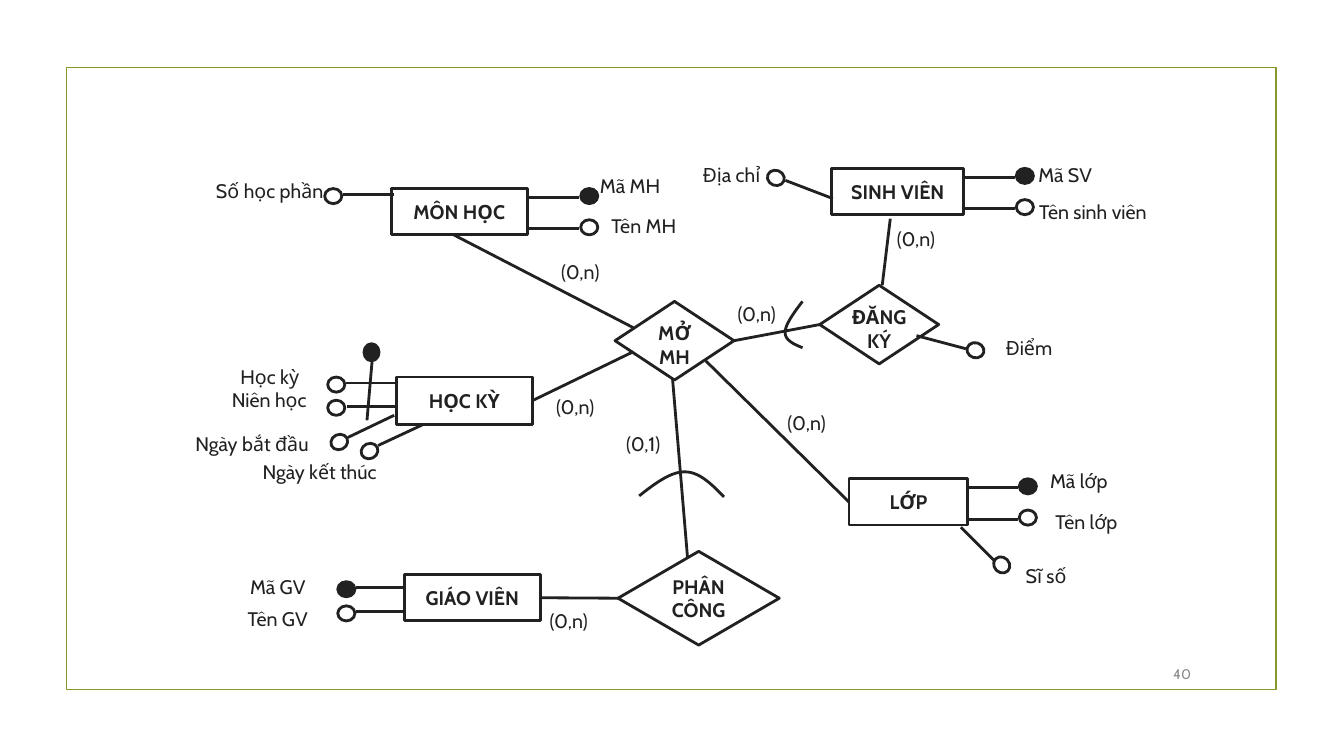
from pptx import Presentation
from pptx.dml.color import RGBColor
from pptx.enum.shapes import MSO_CONNECTOR, MSO_SHAPE
from pptx.enum.text import MSO_ANCHOR, PP_ALIGN
from pptx.oxml.ns import qn
from pptx.util import Inches, Pt

RECT, DIAMOND, OVAL = MSO_SHAPE.RECTANGLE, MSO_SHAPE.DIAMOND, MSO_SHAPE.OVAL
STRAIGHT = MSO_CONNECTOR.STRAIGHT
TOP, MIDDLE = MSO_ANCHOR.TOP, MSO_ANCHOR.MIDDLE
CENTER, RIGHT = PP_ALIGN.CENTER, PP_ALIGN.RIGHT
LEFT_SIDE, RIGHT_SIDE = 1, 3

INK, WHITE, GREEN, GREY = "212121", "FFFFFF", "83992A", "898989"
DOT_WIDTH, DOT_HEIGHT = 0.17, 0.15

# Name: left, top, width, height
ENTITIES = {
    "MÔN HỌC": (3.88, 1.87, 1.35, 0.46),
    "SINH VIÊN": (8.25, 1.67, 1.31, 0.46),
    "LỚP": (8.42, 4.75, 1.18, 0.46),
    "HỌC KỲ": (3.93, 3.74, 1.35, 0.47),
    "GIÁO VIÊN": (4.01, 5.7, 1.35, 0.46),
}

# Name: left, top, width, height, text anchor
RELATIONS = {
    "MỞ MH": (6.1, 2.99, 1.18, 0.78, TOP),
    "ĐĂNG KÝ": (8.13, 2.83, 1.18, 0.78, TOP),
    "PHÂN CÔNG": (6.13, 5.47, 1.6, 0.93, MIDDLE),
}

# Start, end, then the (shape, side) joined at each end, if any
LINKS = [
    ((4.5, 2.33), (6.28, 3.25), None, None),
    ((6.28, 3.49), (5.27, 3.96), None, ("HỌC KỲ", RIGHT_SIDE)),
    ((7, 3.58), (8.42, 5), None, ("LỚP", LEFT_SIDE)),
    ((7.29, 3.38), (8.13, 3.22), ("MỞ MH", RIGHT_SIDE), ("ĐĂNG KÝ", LEFT_SIDE)),
    ((6.67, 3.75), (6.82, 5.54), None, None),
    ((6.13, 5.94), (5.36, 5.94), ("PHÂN CÔNG", LEFT_SIDE), ("GIÁO VIÊN", RIGHT_SIDE)),
    ((8.83, 2.17), (8.75, 2.83), None, None),
]

# Text, left, top, width, anchor
CARDINALITIES = [
    ("(0,n)", 5.5, 2.58, 0.51, TOP),
    ("(0,n)", 5.45, 3.92, 0.51, TOP),
    ("(0,n)", 7.75, 4.08, 0.5, TOP),
    ("(0,n)", 8.83, 2.25, 0.51, TOP),
    ("(0,n)", 7.25, 2.99, 0.51, TOP),
    ("(0,n)", 5.34, 6, 0.6, MIDDLE),
    ("(0,1)", 6.08, 4.25, 0.6, MIDDLE),
]

# Line start, line end, dot left and top, dot rotation, whether it is a key
ATTRIBUTES = [
    ((5.24, 1.96), (5.74, 1.96), (5.76, 1.87), 0, True),
    ((5.24, 2.27), (5.74, 2.27), (5.76, 2.18), 0, False),
    ((3.91, 1.93), (3.4, 1.93), (3.22, 1.87), 180, False),
    ((9.56, 1.76), (10.07, 1.76), (10.08, 1.67), 0, True),
    ((9.56, 2.07), (10.07, 2.07), (10.08, 1.98), 0, False),
    ((8.26, 1.97), (7.79, 1.79), (7.61, 1.69), 200.9, False),
    ((9.59, 4.84), (10.1, 4.84), (10.11, 4.75), 0, True),
    ((9.59, 5.15), (10.1, 5.15), (10.11, 5.06), 0, False),
    ((9.53, 5.23), (9.86, 5.56), (9.85, 5.53), 45, False),
    ((3.94, 3.8), (3.43, 3.8), (3.25, 3.74), 180, False),
    ((3.94, 4.03), (3.44, 4.03), (3.25, 3.97), 180, False),
    ((3.91, 4.12), (3.45, 4.34), (3.28, 4.31), 154.9, False),
    ((4.2, 4.21), (3.75, 4.42), (3.58, 4.4), 154.9, False),
    ((3.64, 4.17), (3.69, 3.59), (3.6, 3.42), 270, True),
    ((4.01, 5.83), (3.53, 5.83), (3.35, 5.77), 180, True),
    ((4.01, 6.07), (3.53, 6.07), (3.35, 6.01), 180, False),
    ((9.09, 3.33), (9.58, 3.46), (9.59, 3.4), 15.2, False),
]

# Text, left, top, width, height, anchor
ATTRIBUTE_NAMES = [
    ("Mã MH", 5.83, 1.69, 0.84, 0.31, MIDDLE),
    ("Tên MH", 5.94, 2.08, 0.89, 0.31, MIDDLE),
    ("Số học phần", 2.13, 1.66, 1.09, 0.47, MIDDLE),
    ("Mã SV", 10.23, 1.58, 0.67, 0.31, MIDDLE),
    ("Tên sinh viên", 10.25, 1.94, 1.18, 0.31, MIDDLE),
    ("Địa chỉ", 6.92, 1.58, 0.67, 0.31, MIDDLE),
    ("Mã lớp", 10.28, 4.61, 0.84, 0.31, MIDDLE),
    ("Tên lớp", 10.35, 5, 0.85, 0.36, MIDDLE),
    ("Sĩ số", 10.03, 5.52, 0.69, 0.39, MIDDLE),
    ("Niên học", 2.17, 3.81, 1, 0.31, MIDDLE),
    ("Học kỳ", 2.17, 3.58, 1.01, 0.31, MIDDLE),
    ("Ngày bắt đầu", 1.83, 4.25, 1.34, 0.31, MIDDLE),
    ("Ngày kết thúc", 2.5, 4.52, 1.34, 0.31, MIDDLE),
    ("Mã GV", 2.25, 5.67, 1.01, 0.31, MIDDLE),
    ("Tên GV", 2.25, 5.98, 1.01, 0.31, MIDDLE),
    ("Điểm", 9.83, 3.33, 0.75, 0.25, TOP),
]

# Cubic curves: start, two control points, end
ARCS = [
    ((7.96, 2.99), (7.73, 3.29), (7.73, 3.36), (7.96, 3.45)),
    ((6.34, 4.92), (6.74, 4.6), (6.87, 4.6), (7.18, 4.93)),
]


def color(hex_text):
    return RGBColor.from_string(hex_text)


def style(shape, fill, line=INK, width=2):
    shape.shadow.inherit = False
    if fill:
        shape.fill.solid()
        shape.fill.fore_color.rgb = color(fill)
    else:
        shape.fill.background()
    shape.line.color.rgb = color(line)
    shape.line.width = Pt(width)


def write(shape, text, anchor, bold=False, inset=(0, 0), size=14, ink=INK, align=CENTER):
    frame = shape.text_frame
    frame.word_wrap = True
    frame.vertical_anchor = anchor
    frame.margin_left = frame.margin_right = Inches(inset[0])
    frame.margin_top = frame.margin_bottom = Inches(inset[1])
    para = frame.paragraphs[0]
    para.alignment = align
    span = para.add_run()
    span.text = text
    span.font.name = "Cabin"
    span.font.size = Pt(size)
    span.font.bold = bold
    span.font.color.rgb = color(ink)


def add_outline(page, kind, place, fill=None, **line):
    shape = page.shapes.add_shape(kind, *map(Inches, place))
    style(shape, fill, **line)
    return shape


def add_label(page, text, place, anchor, **looks):
    write(page.shapes.add_textbox(*map(Inches, place)), text, anchor, **looks)


def add_line(page, start, end):
    line = page.shapes.add_connector(STRAIGHT, *map(Inches, start + end))
    line.line.color.rgb = color(INK)
    line.line.width = Pt(2)
    properties = line._element.spPr
    properties.append(properties.makeelement(qn("a:effectLst"), {}))
    return line


def add_attribute(page, start, end, corner, rotation, is_key):
    add_line(page, start, end)
    dot = add_outline(page, OVAL, corner + (DOT_WIDTH, DOT_HEIGHT), INK if is_key else None)
    dot.rotation = rotation


def add_arc(page, curve, steps=24):
    points = []
    for step in range(steps + 1):
        t = step / steps
        weights = ((1 - t) ** 3, 3 * t * (1 - t) ** 2, 3 * t ** 2 * (1 - t), t ** 3)
        points.append(tuple(Inches(sum(w * point[axis] for w, point in zip(weights, curve)))
                            for axis in (0, 1)))
    builder = page.shapes.build_freeform(*points[0])
    builder.add_line_segments(points[1:], close=False)
    style(builder.convert_to_shape(), None)


def main():
    deck = Presentation()
    deck.slide_width, deck.slide_height = Inches(13.33), Inches(7.5)
    page = deck.slides.add_slide(deck.slide_layouts[6])

    # Frame and page number
    add_outline(page, RECT, (0.66, 0.67, 12, 6.17), line=GREEN, width=1.25)
    add_label(page, "40", (11.32, 6.53, 0.59, 0.31), MIDDLE,
              inset=(0.1, 0.05), size=10, ink=GREY, align=RIGHT)

    # Entities and relations
    nodes = {}
    for name, place in ENTITIES.items():
        nodes[name] = add_outline(page, RECT, place, WHITE)
        write(nodes[name], name, MIDDLE, bold=True, inset=(0, 0.05))
    for name, (*place, anchor) in RELATIONS.items():
        nodes[name] = add_outline(page, DIAMOND, place)
        write(nodes[name], name, anchor, bold=True)

    # Links with their cardinalities
    for start, end, source, target in LINKS:
        line = add_line(page, start, end)
        if source:
            line.begin_connect(nodes[source[0]], source[1])
        if target:
            line.end_connect(nodes[target[0]], target[1])
    for curve in ARCS:
        add_arc(page, curve)
    for text, left, top, width, anchor in CARDINALITIES:
        add_label(page, text, (left, top, width, 0.31), anchor)

    # Attributes
    for attribute in ATTRIBUTES:
        add_attribute(page, *attribute)
    for text, *place, anchor in ATTRIBUTE_NAMES:
        add_label(page, text, place, anchor)

    deck.save("out.pptx")


if __name__ == "__main__":
    main()
